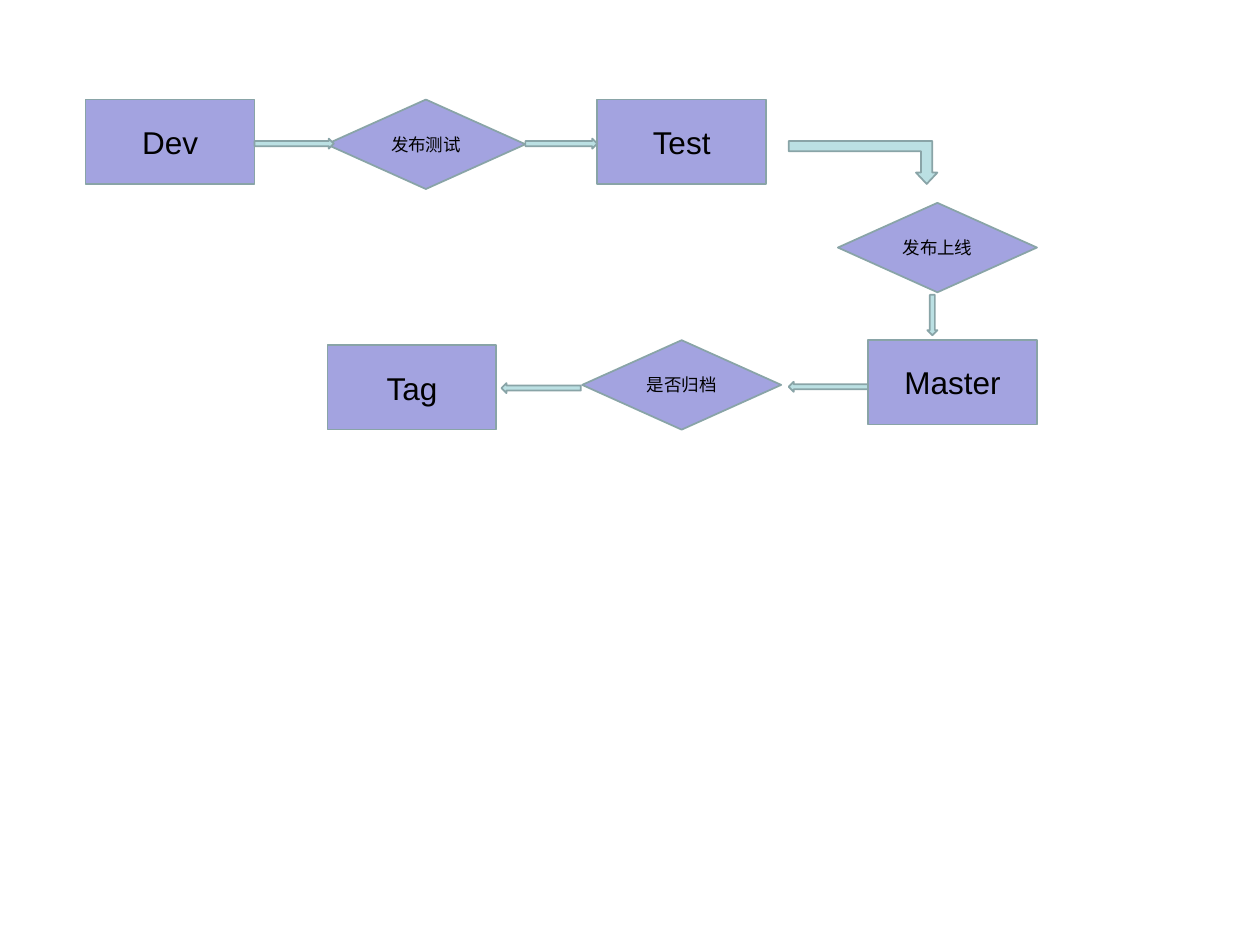
from dataclasses import dataclass

import pptx
import pptx.dml.color
import pptx.enum.shapes
import pptx.enum.text
import pptx.util

KIND = pptx.enum.shapes.MSO_SHAPE
CELL = pptx.util.Inches(0.1)  # the slide is a grid of 100 columns and 75 rows
COLS, ROWS = 100, 75
LILAC, AQUA, EDGE, INK = "A3A3E0", "BBE0E3", "89A4A7", "000000"
THIN = 0.8  # thickness of a block arrow
SIZES = {KIND.RECTANGLE: (13.4, 6.7), KIND.DIAMOND: (15.8, 7.1)}
FONTS = {KIND.RECTANGLE: 18, KIND.DIAMOND: 10}


@dataclass
class Node:
    text: str
    kind: KIND
    col: float
    row: float


@dataclass
class Arrow:
    kind: KIND
    col: float
    row: float
    span: float


NODES = [
    Node("Dev", KIND.RECTANGLE, 6.8, 7.9),
    Node("发布测试", KIND.DIAMOND, 25.9, 7.9),
    Node("Test", KIND.RECTANGLE, 47.4, 7.9),
    Node("发布上线", KIND.DIAMOND, 66.5, 16.1),
    Node("Master", KIND.RECTANGLE, 68.9, 27),
    Node("是否归档", KIND.DIAMOND, 46.2, 27),
    Node("Tag", KIND.RECTANGLE, 26, 27.4),
]
ARROWS = [
    Arrow(KIND.RIGHT_ARROW, 20.2, 11, 6.3),
    Arrow(KIND.RIGHT_ARROW, 41.7, 11, 5.7),
    Arrow(KIND.DOWN_ARROW, 73.6, 23.4, 3.2),
    Arrow(KIND.LEFT_ARROW, 62.6, 30.3, 6.3),
    Arrow(KIND.LEFT_ARROW, 39.8, 30.4, 6.3),
]
BEND = [(62.6, 12), (73.1, 12), (73.1, 13.7), (72.7, 13.7), (73.55, 14.6),
        (74.4, 13.7), (74, 13.7), (74, 11.2), (62.6, 11.2)]


def grid(*cells: float) -> list[int]:
    return [round(cell * CELL) for cell in cells]


def color(code: str) -> pptx.dml.color.RGBColor:
    return pptx.dml.color.RGBColor.from_string(code)


def paint(shape, fill: str) -> None:
    shape.shadow.inherit = False
    shape.fill.solid()
    shape.fill.fore_color.rgb = color(fill)
    shape.line.color.rgb = color(EDGE)
    shape.line.width = pptx.util.Pt(1)


def write(shape, text: str, *, size: float, ink: str = INK,
          face: str = "Arial") -> None:
    frame = shape.text_frame
    frame.word_wrap = True
    frame.vertical_anchor = pptx.enum.text.MSO_ANCHOR.MIDDLE
    line = frame.paragraphs[0]
    line.alignment = pptx.enum.text.PP_ALIGN.CENTER
    run = line.add_run()
    run.text = text
    run.font.size = pptx.util.Pt(size)
    run.font.name = face
    run.font.color.rgb = color(ink)


def draw_node(slide, node: Node) -> None:
    box = grid(node.col, node.row, *SIZES[node.kind])
    shape = slide.shapes.add_shape(node.kind, *box)
    paint(shape, LILAC)
    write(shape, node.text, size=FONTS[node.kind])


def draw_arrow(slide, arrow: Arrow) -> None:
    down = arrow.kind == KIND.DOWN_ARROW
    size = (THIN, arrow.span) if down else (arrow.span, THIN)
    box = grid(arrow.col, arrow.row, *size)
    paint(slide.shapes.add_shape(arrow.kind, *box), AQUA)


def draw_bend(slide) -> None:
    start, *rest = [grid(*point) for point in BEND]
    form = slide.shapes.build_freeform(*start)
    form.add_line_segments(rest, close=True)
    paint(form.convert_to_shape(), AQUA)


def main() -> None:
    deck = pptx.Presentation()
    deck.slide_width, deck.slide_height = grid(COLS, ROWS)
    slide = deck.slides.add_slide(deck.slide_layouts[6])
    for node in NODES:
        draw_node(slide, node)
    for arrow in ARROWS:
        draw_arrow(slide, arrow)
    draw_bend(slide)
    deck.save("out.pptx")


if __name__ == "__main__":
    main()
